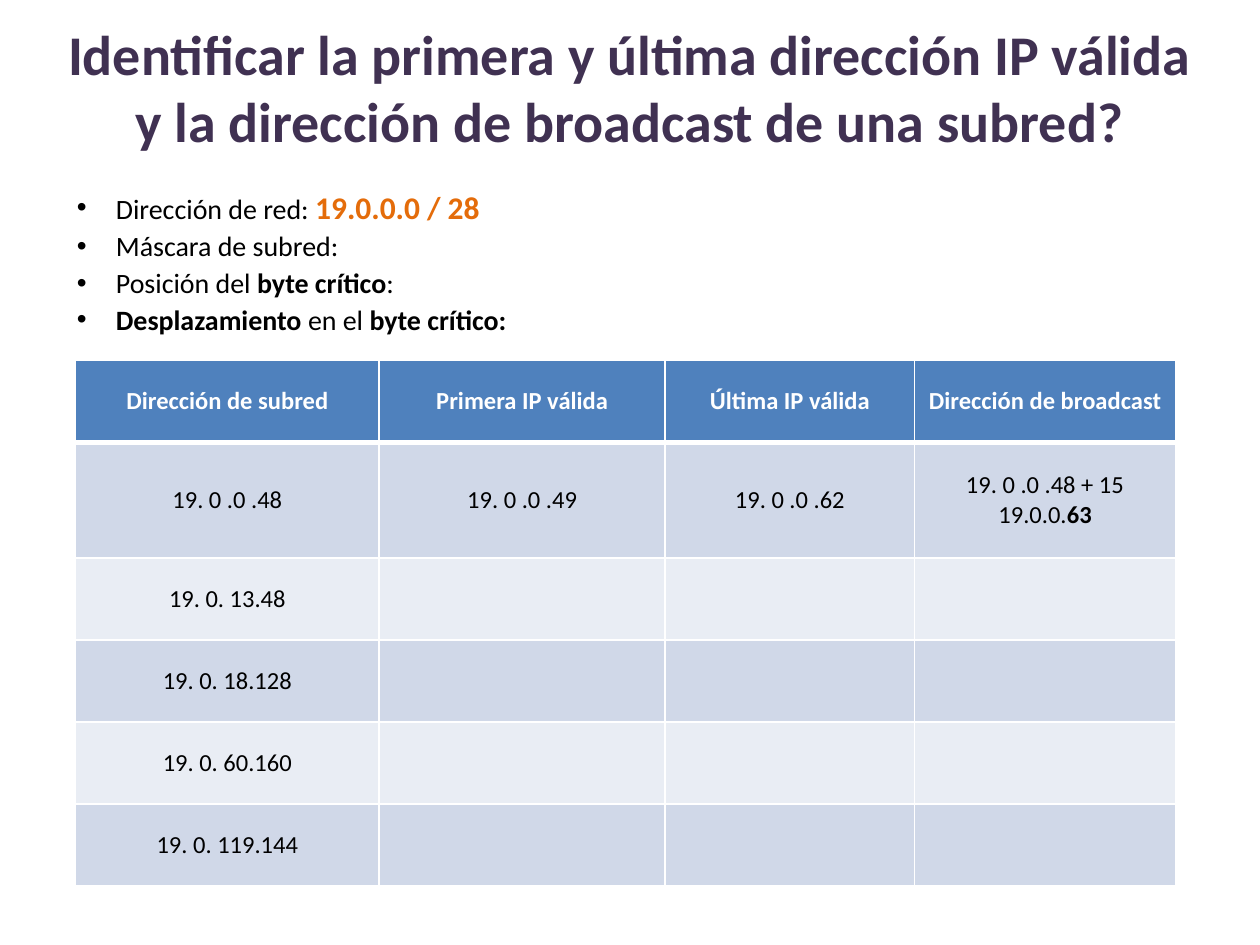
"""Build a slide on finding the valid and broadcast addresses of a subnet."""
from dataclasses import dataclass
from typing import NamedTuple

from lxml.etree import SubElement
from pptx import Presentation
from pptx.dml.color import RGBColor
from pptx.enum.text import MSO_ANCHOR, MSO_AUTO_SIZE, PP_ALIGN
from pptx.oxml.ns import qn
from pptx.util import Inches, Pt


@dataclass(frozen=True)
class Theme:
    font: str = "Calibri"
    title: str = "403152"
    ink: str = "000000"
    accent: str = "E46C0A"
    white: str = "FFFFFF"
    head: str = "4F81BD"
    bands: tuple = ("D0D8E8", "E9EDF4")
    title_size: int = 32
    key_size: int = 18
    list_size: int = 16
    cell_size: int = 14
    leading: int = 21


class Run(NamedTuple):
    text: str
    bold: bool = False
    color: str = ""
    size: int = 0


THEME = Theme()
TITLE = "Identificar la primera y última dirección IP válida y la dirección de broadcast de una subred?"
ITEMS = [
    [Run("Dirección de red: "), Run("19.0.0.0 / 28", True, THEME.accent, THEME.key_size)],
    [Run("Máscara de subred:")],
    [Run("Posición del "), Run("byte crítico", True), Run(":")],
    [Run("Desplazamiento ", True), Run("en el "), Run("byte crítico:", True)],
]
HEADS = ["Dirección de subred", "Primera IP válida", "Última IP válida", "Dirección de broadcast"]
SOLVED = [
    [[Run("19. 0 .0 .48")]],
    [[Run("19. 0 .0 .49")]],
    [[Run("19. 0 .0 .62")]],
    [[Run("19. 0 .0 .48 + 15")], [Run("19.0.0."), Run("63", True)]],
]
OPEN = ["19. 0. 13.48", "19. 0. 18.128", "19. 0. 60.160", "19. 0. 119.144"]
WIDTHS = [2.41, 2.27, 1.98, 2.07]
HEIGHTS = [0.65, 0.92] + [0.65] * len(OPEN)


def place(shape, left: float, top: float, width: float, height: float) -> None:
    """Move and size a shape in inches."""
    shape.left, shape.top = Inches(left), Inches(top)
    shape.width, shape.height = Inches(width), Inches(height)


def write(frame, lines: list, align: PP_ALIGN, size: int, color: str) -> None:
    """Fill a text frame with one paragraph per list of runs."""
    for index, runs in enumerate(lines):
        para = frame.paragraphs[0] if index == 0 else frame.add_paragraph()
        para.alignment = align
        for item in runs:
            run = para.add_run()
            run.text = item.text
            font = run.font
            font.name, font.bold = THEME.font, item.bold
            font.size = Pt(item.size or size)
            font.color.rgb = RGBColor.from_string(item.color or color)


def draw_title(shape) -> None:
    """Set the title placeholder."""
    place(shape, 0.38, 0.1, 9.24, 1.17)
    frame = shape.text_frame
    frame.auto_size = MSO_AUTO_SIZE.NONE
    frame.vertical_anchor = MSO_ANCHOR.MIDDLE
    write(frame, [[Run(TITLE, True)]], PP_ALIGN.CENTER, THEME.title_size, THEME.title)


def draw_list(shape) -> None:
    """Set the bulleted list in the body placeholder."""
    place(shape, 0.52, 1.5, 9.1, 1.16)
    frame = shape.text_frame
    frame.auto_size = MSO_AUTO_SIZE.NONE
    frame.margin_left = frame.margin_right = frame.margin_top = frame.margin_bottom = 0
    write(frame, ITEMS, PP_ALIGN.JUSTIFY, THEME.list_size, THEME.ink)
    for para in frame.paragraphs:
        props = para._p.get_or_add_pPr()
        props.set("marL", str(Inches(0.4)))
        props.set("indent", str(Inches(-0.31)))
        para.line_spacing = Pt(THEME.leading)
        para.space_before = Pt(0)


def edge(cell, side: str, width: float) -> None:
    """Draw one white border of a cell."""
    line = SubElement(cell._tc.get_or_add_tcPr(), qn(f"a:ln{side}"), w=str(Pt(width)))
    fill = SubElement(line, qn("a:solidFill"))
    SubElement(fill, qn("a:srgbClr"), val=THEME.white)


def draw_cell(cell, lines: list, row: int) -> None:
    """Set the borders, fill and text of a cell."""
    is_head = row == 0
    for side in "LRTB":
        thick = (is_head and side == "B") or (row == 1 and side == "T")
        edge(cell, side, 3 if thick else 1)
    cell.fill.solid()
    color = THEME.head if is_head else THEME.bands[(row - 1) % 2]
    cell.fill.fore_color.rgb = RGBColor.from_string(color)
    cell.vertical_anchor = MSO_ANCHOR.MIDDLE
    ink = THEME.white if is_head else THEME.ink
    write(cell.text_frame, lines, PP_ALIGN.CENTER, THEME.cell_size, ink)


def draw_table(slide) -> None:
    """Add the table of subnets."""
    rows = [[[[Run(head, True)]] for head in HEADS], SOLVED]
    rows += [[[[Run(net)]], [], [], []] for net in OPEN]
    frame = slide.shapes.add_table(
        len(rows), len(WIDTHS), Inches(0.6), Inches(2.86),
        Inches(sum(WIDTHS)), Inches(sum(HEIGHTS)),
    )
    table = frame.table
    for col, width in zip(table.columns, WIDTHS):
        col.width = Inches(width)
    for index, (cells, height) in enumerate(zip(rows, HEIGHTS)):
        table.rows[index].height = Inches(height)
        for col, lines in enumerate(cells):
            draw_cell(table.cell(index, col), lines, index)


def main() -> None:
    """Build and save the deck."""
    deck = Presentation()
    deck.slide_width, deck.slide_height = Inches(10), Inches(7.5)
    slide = deck.slides.add_slide(deck.slide_layouts[1])
    draw_title(slide.shapes.title)
    draw_list(slide.placeholders[1])
    draw_table(slide)
    deck.save("out.pptx")


if __name__ == "__main__":
    main()
